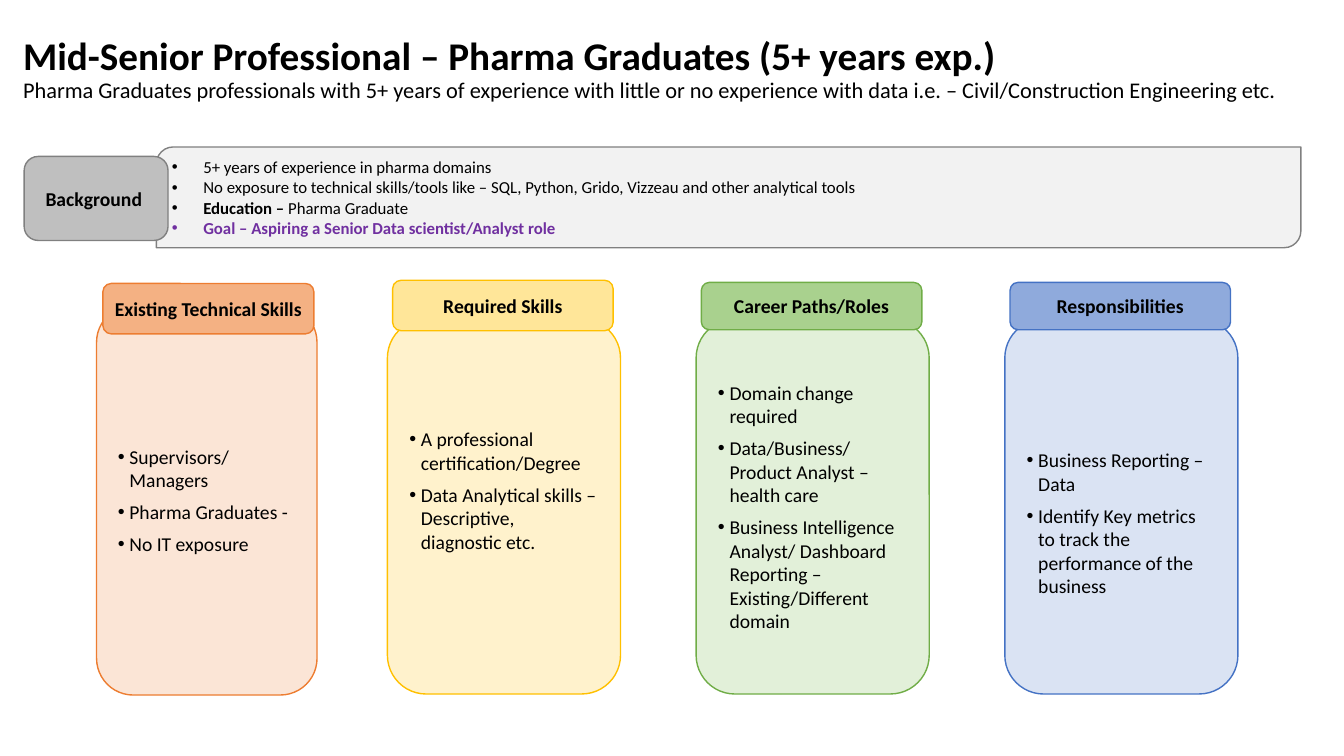
from lxml import etree
from pptx import Presentation
from pptx.dml.color import RGBColor
from pptx.enum.shapes import MSO_SHAPE
from pptx.enum.text import MSO_ANCHOR, PP_ALIGN
from pptx.oxml.ns import qn
from pptx.util import Emu, Pt

ROUNDED = MSO_SHAPE.ROUNDED_RECTANGLE
DIAGONAL = MSO_SHAPE.ROUND_2_DIAG_RECTANGLE
MIDDLE = MSO_ANCHOR.MIDDLE
LEFT = PP_ALIGN.LEFT
CENTER = PP_ALIGN.CENTER

EMU_PER_PX = 9525
FONT = "Calibri"
INSET_X, INSET_Y = 10, 5
EXTRA_LINE = 31

COLORS = {
    "text": "000000",
    "goal": "7030A0",
    "panel": "F2F2F2",
    "tag": "BFBFBF",
    "gray_line": "808080",
}

BACKGROUND = [
    [("5+ years of experience in pharma domains", False, "text")],
    [("No exposure to technical skills/tools like – SQL, Python, Grido, Vizzeau "
      "and other analytical tools", False, "text")],
    [("Education – ", True, "text"), ("Pharma Graduate", False, "text")],
    [("Goal – Aspiring a Senior Data scientist/Analyst role", True, "goal")],
]

COLUMNS = [
    {
        "heading": "Existing Technical Skills",
        "heading_area": (98, 270, 201, 48), "body_area": (92, 291, 210, 371),
        "dark": "F4B183", "light": "FBE5D6", "line": "ED7D31", "pad": (0, 0),
        "items": ["Supervisors/ Managers", "Pharma Graduates -", "No IT exposure"],
    },
    {
        "heading": "Required Skills",
        "heading_area": (374, 267, 210, 48), "body_area": (369, 304, 222, 357),
        "dark": "FFE699", "light": "FFF2CC", "line": "FFC000", "pad": (0, EXTRA_LINE),
        "items": ["A professional certification/Degree",
                  "Data Analytical skills – Descriptive, diagnostic etc."],
    },
    {
        "heading": "Career Paths/Roles",
        "heading_area": (668, 269, 210, 45), "body_area": (663, 304, 222, 357),
        "dark": "A9D18E", "light": "E2F0D9", "line": "70AD47", "pad": (0, 0),
        "items": ["Domain change required",
                  "Data/Business/ Product Analyst – health care",
                  "Business Intelligence Analyst/ Dashboard Reporting – "
                  "Existing/Different domain"],
    },
    {
        "heading": "Responsibilities",
        "heading_area": (962, 269, 210, 45), "body_area": (957, 304, 222, 357),
        "dark": "8FAADC", "light": "DAE3F3", "line": "4472C4", "pad": (EXTRA_LINE, 0),
        "items": ["Business Reporting – Data",
                  "Identify Key metrics to track the performance of the business"],
    },
]


def px(length):
    return Emu(length * EMU_PER_PX)


def set_frame(frame, left=INSET_X, top=INSET_Y, right=INSET_X, bottom=INSET_Y):
    frame.word_wrap = True
    frame.vertical_anchor = MIDDLE
    frame.margin_left, frame.margin_top = px(left), px(top)
    frame.margin_right, frame.margin_bottom = px(right), px(bottom)


def add_box(page, kind, area, fill, line):
    box = page.shapes.add_shape(kind, *map(px, area))
    box.shadow.inherit = False
    box.fill.solid()
    box.fill.fore_color.rgb = RGBColor.from_string(fill)
    box.line.color.rgb = RGBColor.from_string(line)
    box.line.width = Pt(1)
    return box


def add_span(para, text, size, bold=False, color="text"):
    span = para.add_run()
    span.text = text
    span.font.name = FONT
    span.font.size = Pt(size)
    span.font.bold = bold
    span.font.color.rgb = RGBColor.from_string(COLORS[color])


def set_bullet(para, indent):
    properties = para._p.get_or_add_pPr()
    properties.set("marL", str(px(indent)))
    properties.set("indent", str(-px(indent)))
    etree.SubElement(properties, qn("a:buFont")).set("typeface", "Arial")
    etree.SubElement(properties, qn("a:buChar")).set("char", "•")


def add_bullets(frame, items, size, indent, space_after):
    for index, spans in enumerate(items):
        para = frame.add_paragraph() if index else frame.paragraphs[0]
        para.alignment = LEFT
        para.space_after = Pt(space_after)
        set_bullet(para, indent)
        for text, bold, color in spans:
            add_span(para, text, size, bold, color)


def add_label(page, text, area, fill, line):
    frame = add_box(page, ROUNDED, area, fill, line).text_frame
    set_frame(frame, 0, 0, 0, 0)
    para = frame.paragraphs[0]
    para.alignment = CENTER
    add_span(para, text, 14, True)


def add_title(page):
    frame = page.shapes.add_textbox(px(12), px(12), px(1254), px(110)).text_frame
    set_frame(frame)
    heading, subtitle = frame.paragraphs[0], frame.add_paragraph()
    heading.line_spacing = subtitle.line_spacing = 0.9
    add_span(heading, "Mid-Senior Professional – Pharma Graduates (5+ years exp.)", 28, True)
    add_span(subtitle, "Pharma Graduates professionals with 5+ years of experience with little "
             "or no experience with data i.e. – Civil/Construction Engineering etc.", 16)


def add_background(page):
    line = COLORS["gray_line"]
    panel = add_box(page, DIAGONAL, (149, 140, 1090, 96), COLORS["panel"], line)
    set_frame(panel.text_frame)
    add_bullets(panel.text_frame, BACKGROUND, 12, 30, 0)
    add_label(page, "Background ", (23, 149, 137, 80), COLORS["tag"], line)


def add_column(page, column):
    body = add_box(page, ROUNDED, column["body_area"], column["light"], column["line"])
    above, below = column["pad"]
    set_frame(body.text_frame, top=INSET_Y + above, bottom=INSET_Y + below)
    items = [[(text, False, "text")] for text in column["items"]]
    add_bullets(body.text_frame, items, 14, 11, 6)
    add_label(page, column["heading"], column["heading_area"], column["dark"], column["line"])


def main():
    deck = Presentation()
    deck.slide_width, deck.slide_height = px(1280), px(720)
    page = deck.slides.add_slide(deck.slide_layouts[6])
    add_title(page)
    add_background(page)
    for column in COLUMNS:
        add_column(page, column)
    deck.save("out.pptx")


if __name__ == "__main__":
    main()
